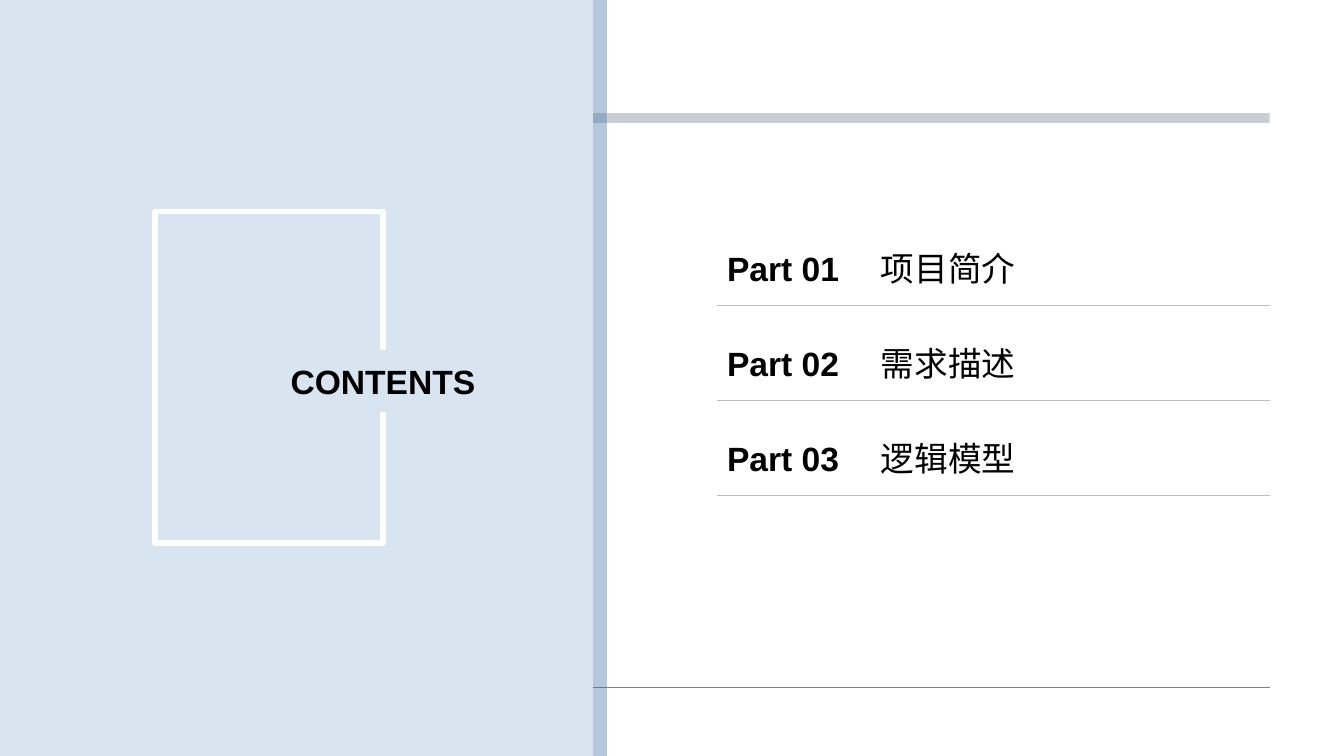
from lxml import etree
from pptx import Presentation
from pptx import util as u
from pptx.dml.color import RGBColor
from pptx.enum import shapes, text
from pptx.oxml import ns

Cm, Pt = u.Cm, u.Pt
INK = {"panel": "D8E4F0", "shade": "4276AA", "bar": "C9CED5", "foot": "808080",
       "rule": "BFBFBF", "white": "FFFFFF", "black": "000000"}
RIGHT = 32

deck = Presentation()
deck.slide_width, deck.slide_height = Cm(33.87), Cm(19.05)
slide = deck.slides.add_slide(deck.slide_layouts[6])


def block(home, x, y, w, h, ink):
    box = home.shapes.add_shape(shapes.MSO_SHAPE.RECTANGLE, Cm(x), Cm(y), Cm(w), Cm(h))
    box.shadow.inherit = False
    box.fill.solid()
    box.fill.fore_color.rgb = RGBColor.from_string(INK[ink])
    box.line.fill.background()
    return box


def write(box, words, bold, align, wrap=True):
    frame = box.text_frame
    frame.word_wrap = wrap
    frame.vertical_anchor = text.MSO_ANCHOR.MIDDLE
    para = frame.paragraphs[0]
    para.alignment = align
    run = para.add_run()
    run.text = words
    run.font.name, run.font.size, run.font.bold = "Arial", Pt(24), bold
    run.font.color.rgb = RGBColor.from_string(INK["black"])
    return para


# Lines: footer first, then one under each part
TOP, STEP = 5.82, 2.4
parts = ["项目简介", "需求描述", "逻辑模型"]
lines = [(1.85, 17.32, "foot", 0.5)]
lines += [(18.06, TOP + 1.87 + i * STEP, "rule", 0.25) for i in range(len(parts))]
for x, y, ink, wide in lines:
    line = slide.shapes.add_connector(shapes.MSO_CONNECTOR.STRAIGHT,
                                      Cm(x), Cm(y), Cm(RIGHT), Cm(y))
    line.line.color.rgb = RGBColor.from_string(INK[ink])
    line.line.width = Pt(wide)
    etree.SubElement(line._element.spPr, ns.qn("a:effectLst"))

# Top bar and left panel
block(slide, 1.93, 2.85, RIGHT - 1.93, 0.25, "bar")
panel = block(slide, 0, 0, 14.94, 19.13, "panel")

# Hard shadow on the panel's right edge
glow = etree.SubElement(panel._element.spPr.find(ns.qn("a:effectLst")),
                        ns.qn("a:outerShdw"), blurRad="0", dist=str(Pt(10)),
                        dir="0", algn="l", rotWithShape="0")
tint = etree.SubElement(glow, ns.qn("a:srgbClr"), val=INK["shade"])
etree.SubElement(tint, ns.qn("a:alpha"), val="40000")

# Framed heading
group = slide.shapes.add_group_shape()
frame = block(group, 3.91, 5.33, 5.74, 8.36, "panel")
frame.line.color.rgb = RGBColor.from_string(INK["white"])
frame.line.width = Pt(4)
label = block(group, 6.55, 8.81, 6.2, 1.57, "panel")
write(label, "CONTENTS", True, text.PP_ALIGN.CENTER, False)

# Part list
for i, name in enumerate(parts):
    cells = [(17.55, 4.37, f"Part {i + 1:02}", True, text.PP_ALIGN.CENTER),
             (21.95, 10.05, name, False, text.PP_ALIGN.LEFT)]
    for x, w, words, bold, align in cells:
        box = slide.shapes.add_textbox(Cm(x), Cm(TOP + i * STEP), Cm(w), Cm(1.35))
        write(box, words, bold, align).line_spacing = 1.5

deck.save("out.pptx")
